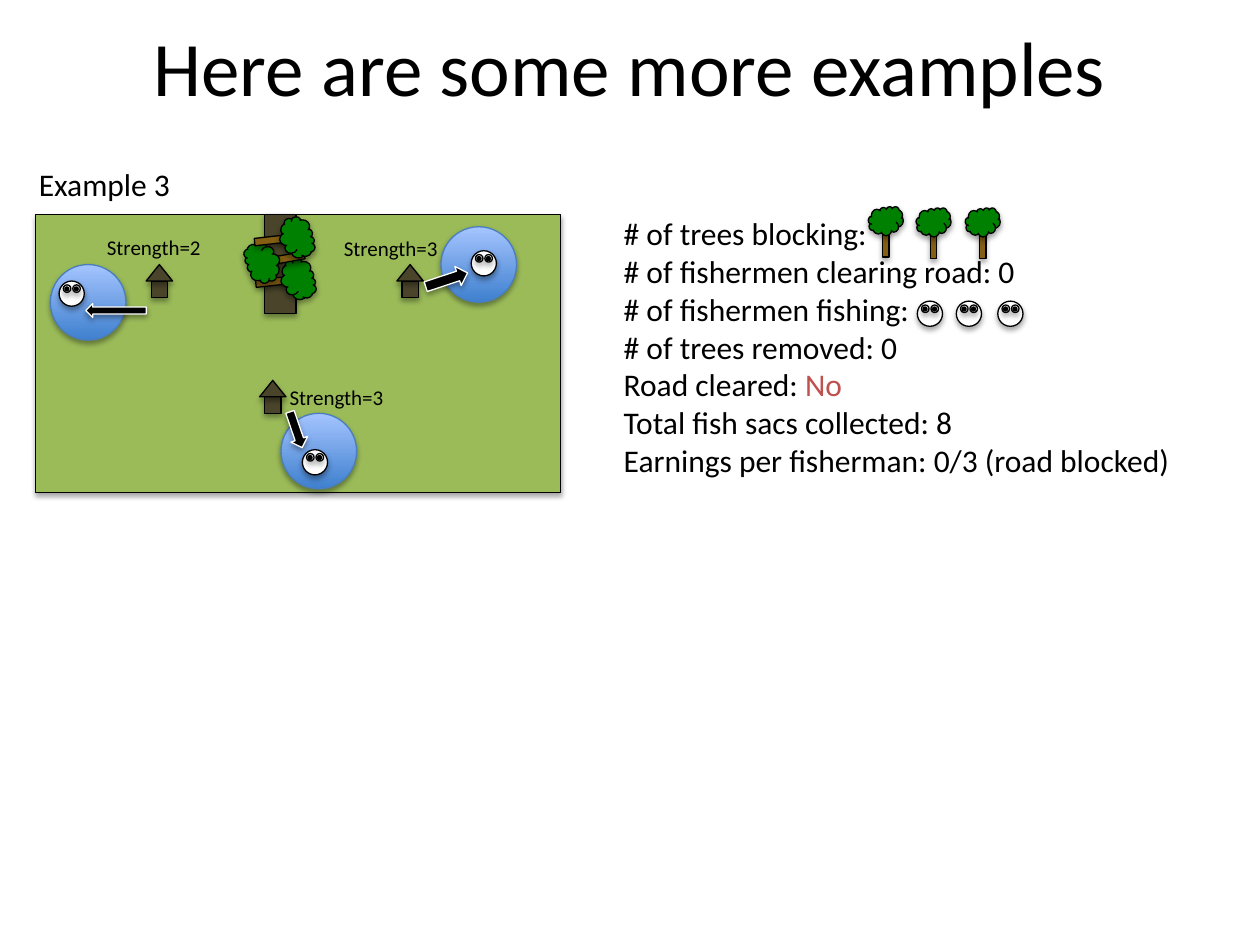
"""Build the slide with a third example of the fishing and road clearing game."""
from dataclasses import dataclass
from math import cos, radians, sin

from lxml.etree import SubElement
from pptx import Presentation
from pptx.dml.color import RGBColor
from pptx.enum.shapes import MSO_SHAPE as SHAPE
from pptx.enum.text import MSO_ANCHOR as ANCHOR, MSO_AUTO_SIZE as FIT, PP_ALIGN as ALIGN
from pptx.oxml.ns import qn
from pptx.util import Pt


@dataclass(frozen=True)
class Theme:
    font: str = "Calibri"
    title: int = 44
    body: int = 18
    label: int = 12
    line: float = 0.75
    black: str = "000000"
    white: str = "FFFFFF"
    grass: str = "9BBB59"
    earth: str = "4A452A"
    bark: str = "835E13"
    leaf: str = "008000"
    water: tuple = ("3F80CE", "A4C4FF")
    shore: str = "4B7EBC"
    alert: str = "C0504D"


THEME = Theme()

TITLE = ("Here are some more examples", (36, -7.2, 648, 90))
RESULTS_BOX = (349.2, 118.8, 335.5, 159.8)
RESULTS = [
    ["# of trees blocking:"],
    ["# of fishermen clearing road: 0"],
    ["# of fishermen fishing:"],
    ["# of trees removed: 0"],
    ["Road cleared: ", "No"],
    ["Total fish sacs collected: 8"],
    ["Earnings per fisherman: 0/3 (road blocked)"],
]
LABELS = [
    ("Example 3", (15.1, 90.7, 90.7, 28.8), THEME.body),
    ("Strength=2", (54, 130.3, 69.1, 21.6), THEME.label),
    ("Strength=3", (189.4, 131, 69.1, 21.6), THEME.label),
    ("Strength=3", (158.4, 216, 69.1, 21.6), THEME.label),
]
FIELD = (20.2, 122.4, 300.2, 159.1)
ROAD = (151.2, 122.4, 18, 56.9)
HOUSES = [(83.5, 151.2), (148.3, 217.4), (226.8, 151.2)]
PONDS = [(28.8, 151.2), (160.6, 236.2), (252, 129.6)]
POND_SIZE = 43.2
FACES = [(33.8, 160.6), (172.8, 257), (269.3, 143.3),
         (524.2, 172.1), (546.5, 172.1), (570.2, 172.1)]
TREES = [
    (170.3, 159.5, 83.7, 1.18), (150.1, 150.1, 259.7, 1.18), (169.6, 135.7, 83.7, 1.18),
    (506.2, 126.4, 0, 1), (533.5, 127.1, 0, 1), (561.6, 127.1, 0, 1),
]
ARROWS = [
    ((49, 173.5, 34.6, 7.9), 0),
    ((158.4, 240.5, 21.6, 10.1), 251.2),
    ((242.6, 154.1, 25.2, 11.5), 161.7),
]


def rgb(value):
    return RGBColor.from_string(value)


def points(box):
    return [Pt(v) for v in box]


def place(sp, box):
    sp.left, sp.top, sp.width, sp.height = points(box)


def style_run(r, size, color=THEME.black):
    r.font.name, r.font.size = THEME.font, Pt(size)
    r.font.color.rgb = rgb(color)


def add_shadow(sp):
    sp.shadow.inherit = False
    effects = sp._element.spPr.find(qn("a:effectLst"))
    shadow = SubElement(effects, qn("a:outerShdw"), blurRad=str(Pt(3.1)),
                        dist=str(Pt(1.8)), dir="5400000", rotWithShape="0")
    color = SubElement(shadow, qn("a:srgbClr"), val=THEME.black)
    SubElement(color, qn("a:alpha"), val="35000")


def add_piece(shapes, kind, box, fill=None, line=THEME.black, turn=0):
    sp = shapes.add_shape(kind, *points(box))
    sp.rotation = turn
    if isinstance(fill, tuple):
        sp.fill.gradient()
        sp.fill.gradient_angle = 90
        for stop, color, position in zip(sp.fill.gradient_stops, fill, (0, 1)):
            stop.color.rgb, stop.position = rgb(color), position
    elif fill:
        sp.fill.solid()
        sp.fill.fore_color.rgb = rgb(fill)
    else:
        sp.fill.background()
    sp.line.color.rgb, sp.line.width = rgb(line), Pt(THEME.line)
    add_shadow(sp)


def add_house(s, x, y):
    shapes = s.shapes.add_group_shape().shapes
    add_piece(shapes, SHAPE.RECTANGLE, (x + 2.9, y + 9.4, 9.4, 9.4), THEME.earth)
    add_piece(shapes, SHAPE.ISOSCELES_TRIANGLE, (x, y, 15.1, 9.4), THEME.earth)


def add_face(s, x, y):
    shapes = s.shapes.add_group_shape().shapes
    add_piece(shapes, SHAPE.OVAL, (x, y, 14.4, 14.4), THEME.white)
    for dx in (2.4, 7.8):
        add_piece(shapes, SHAPE.OVAL, (x + dx, y + 2.2, 4.3, 4.3))
        add_piece(shapes, SHAPE.OVAL, (x + dx + 0.9, y + 3.4, 2.2, 2.2), THEME.black)


def add_tree(s, x, y, turn, scale):
    shapes = s.shapes.add_group_shape().shapes
    drop, angle = 10.8 * scale, radians(turn)
    parts = [
        (SHAPE.RECTANGLE, x - drop * sin(angle), y + drop * cos(angle), 3.6, 19.5, THEME.bark),
        (SHAPE.CLOUD, x, y, 20, 16.6, THEME.leaf),
    ]
    for kind, cx, cy, w, h, fill in parts:
        w, h = w * scale, h * scale
        add_piece(shapes, kind, (cx - w / 2, cy - h / 2, w, h), fill, turn=turn)


def add_label(s, text, box, size):
    sp = s.shapes.add_textbox(*points(box))
    sp.text_frame.word_wrap = False
    sp.text_frame.text = text
    style_run(sp.text_frame.paragraphs[0].runs[0], size)


def fill_title(sp):
    text, box = TITLE
    place(sp, box)
    tf = sp.text_frame
    tf.text, tf.vertical_anchor = text, ANCHOR.MIDDLE
    p = tf.paragraphs[0]
    p.alignment = ALIGN.CENTER
    style_run(p.runs[0], THEME.title)


def fill_results(sp):
    place(sp, RESULTS_BOX)
    tf = sp.text_frame
    tf.word_wrap, tf.auto_size = False, FIT.NONE
    tf.text = "\n".join("" for _ in RESULTS)
    for p, parts in zip(tf.paragraphs, RESULTS):
        p.space_before, p.alignment = Pt(0), ALIGN.LEFT
        props = p._p.get_or_add_pPr()
        props.set("marL", "0")
        props.set("indent", "0")
        SubElement(props, qn("a:buNone"))
        for text, color in zip(parts, (THEME.black, THEME.alert)):
            r = p.add_run()
            r.text = text
            style_run(r, THEME.body, color)


def main():
    prs = Presentation()
    prs.slide_width, prs.slide_height = Pt(720), Pt(540)
    s = prs.slides.add_slide(prs.slide_layouts[1])
    fill_title(s.shapes.title)
    fill_results(s.placeholders[1])
    add_piece(s.shapes, SHAPE.RECTANGLE, FIELD, THEME.grass)
    for house in HOUSES:
        add_house(s, *house)
    for x, y in PONDS:
        add_piece(s.shapes, SHAPE.OVAL, (x, y, POND_SIZE, POND_SIZE), THEME.water, THEME.shore)
    add_piece(s.shapes, SHAPE.RECTANGLE, ROAD, THEME.earth)
    for tree in TREES:
        add_tree(s, *tree)
    for face in FACES:
        add_face(s, *face)
    for label in LABELS:
        add_label(s, *label)
    for box, turn in ARROWS:
        add_piece(s.shapes, SHAPE.LEFT_ARROW, box, THEME.black, THEME.white, turn)
    prs.save("out.pptx")


if __name__ == "__main__":
    main()
